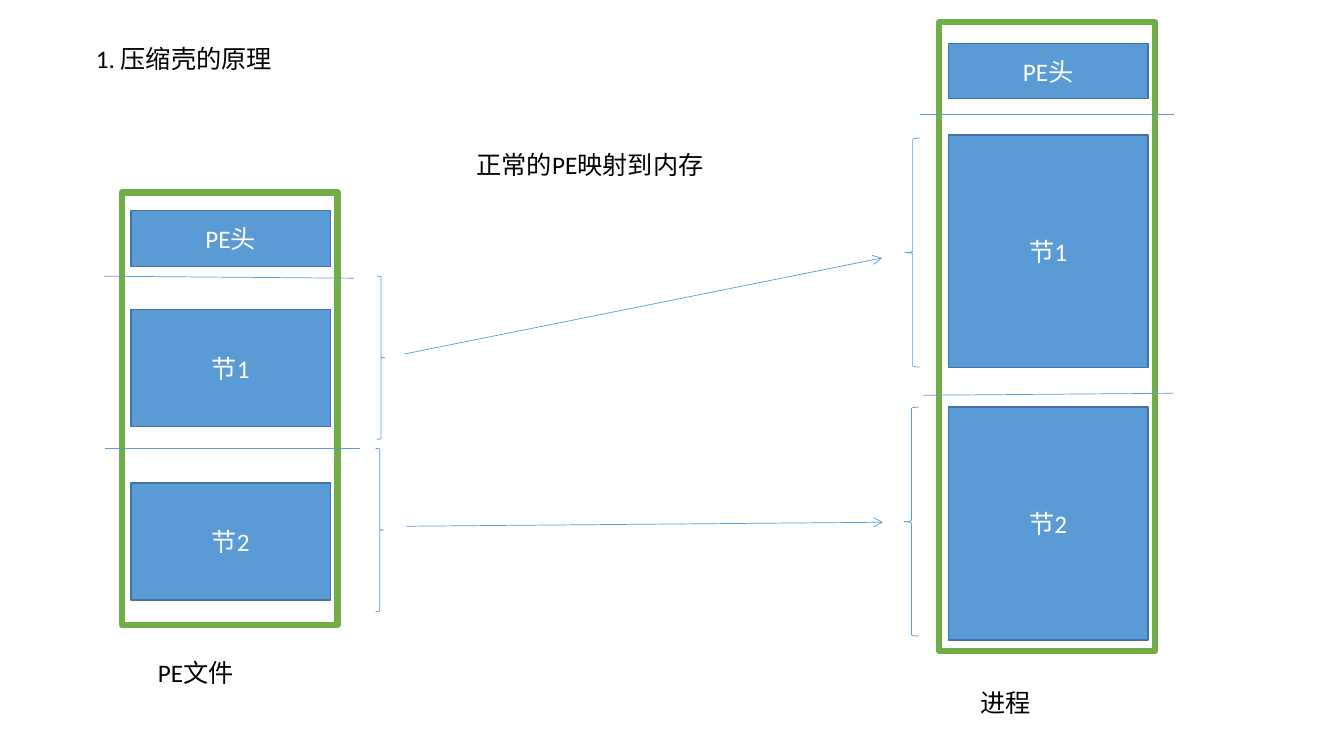
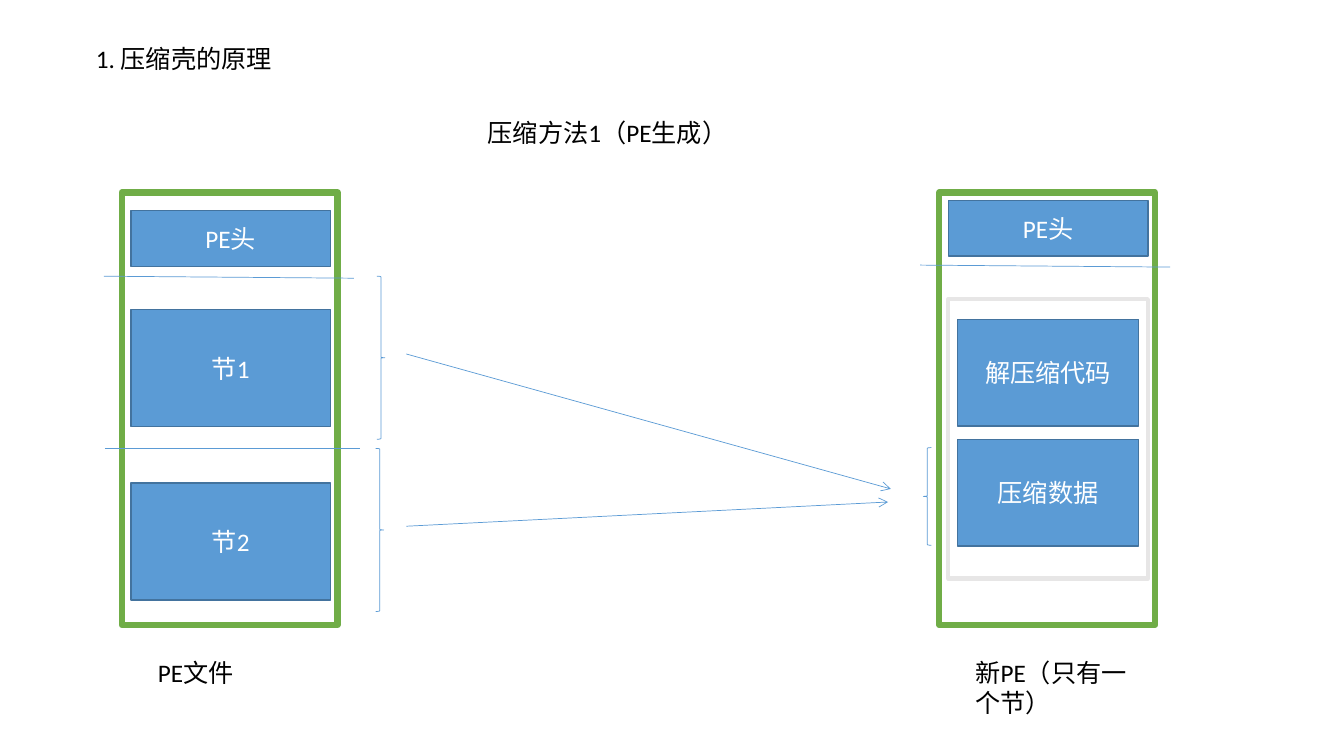
from lxml.etree import SubElement
from pptx import Presentation
from pptx.dml.color import RGBColor
from pptx.enum.shapes import MSO_CONNECTOR, MSO_SHAPE
from pptx.enum.text import MSO_ANCHOR, MSO_AUTO_SIZE, PP_ALIGN
from pptx.oxml.ns import qn
from pptx.util import Cm, Pt

COLORS = {"white": "FFFFFF", "text": "000000", "frame": "70AD47",
          "block": "5B9BD5", "edge": "43739E", "inner": "E7E6E6"}
FONT = {"name": "Calibri", "size": Pt(18), "bold": False}
LABEL = {"word_wrap": True, "auto_size": MSO_AUTO_SIZE.SHAPE_TO_FIT_TEXT,
         "vertical_anchor": MSO_ANCHOR.TOP}
BLOCK = {"word_wrap": True, "vertical_anchor": MSO_ANCHOR.MIDDLE}
TITLE = "1. 压缩壳的原理"
FILE_X, TARGET_X = 3.07, 23.67
FRAME_TOP, FRAME_W, FRAME_H = 4.85, 5.44, 10.9
INSET, BLOCK_W, HEAD_H = 0.23, 5.03, 1.4
LABEL_TOP, LABEL_H = 16.43, 1.02


def rgb(name):
    """Return the named colour."""
    return RGBColor.from_string(COLORS[name])


def set_attrs(obj, values):
    """Set every attribute in a dict of format values."""
    for key, value in values.items():
        setattr(obj, key, value)


def write(tf, text, color, align, frame_format):
    """Write one formatted paragraph into a text frame."""
    set_attrs(tf, frame_format)
    p = tf.paragraphs[0]
    p.alignment = align
    r = p.add_run()
    r.text = text
    set_attrs(r.font, FONT)
    r.font.color.rgb = rgb(color)


def add_title(s, text):
    """Place and fill the title placeholder."""
    sp = s.shapes.title
    set_attrs(sp, {"left": Cm(2.16), "top": Cm(0.97),
                   "width": Cm(8.94), "height": Cm(LABEL_H)})
    write(sp.text_frame, text, "text", PP_ALIGN.LEFT, LABEL)


def add_label(s, text, x, y, w, h=LABEL_H):
    """Add a plain text label."""
    sp = s.shapes.add_textbox(Cm(x), Cm(y), Cm(w), Cm(h))
    write(sp.text_frame, text, "text", PP_ALIGN.LEFT, LABEL)


def add_box(s, x, y, w, h, fill, line, weight):
    """Add a filled rectangle with an outline."""
    sp = s.shapes.add_shape(MSO_SHAPE.RECTANGLE, Cm(x), Cm(y), Cm(w), Cm(h))
    sp.shadow.inherit = False
    sp.fill.solid()
    sp.fill.fore_color.rgb = rgb(fill)
    sp.line.color.rgb = rgb(line)
    sp.line.width = Pt(weight)
    return sp


def add_frame(s, x, y=FRAME_TOP, h=FRAME_H):
    """Add the green outline of a file or process."""
    add_box(s, x, y, FRAME_W, h, "white", "frame", 4.5)


def add_block(s, text, x, y, h, w=BLOCK_W):
    """Add a blue block with centred text."""
    sp = add_box(s, x, y, w, h, "block", "edge", 1)
    write(sp.text_frame, text, "white", PP_ALIGN.CENTER, BLOCK)


def add_brace(s, kind, x, y, w, h):
    """Add a thin brace."""
    sp = s.shapes.add_shape(kind, Cm(x), Cm(y), Cm(w), Cm(h))
    sp.shadow.inherit = False
    sp.fill.background()
    sp.line.color.rgb = rgb("block")
    sp.line.width = Pt(0.5)


def add_line(s, x1, y1, x2, y2, arrow=False):
    """Add a thin line, with an arrowhead at its end if asked."""
    cxn = s.shapes.add_connector(MSO_CONNECTOR.STRAIGHT,
                                 Cm(x1), Cm(y1), Cm(x2), Cm(y2))
    cxn.line.color.rgb = rgb("block")
    cxn.line.width = Pt(0.5)
    if arrow:
        SubElement(cxn.line._get_or_add_ln(), qn("a:tailEnd"), type="arrow")
    SubElement(cxn._element.spPr, qn("a:effectLst"))


def add_pe_file(s):
    """Draw the PE file on the left with its sections and braces."""
    x = FILE_X + INSET
    add_frame(s, FILE_X)
    add_block(s, "PE头", x, 5.31, HEAD_H)
    add_line(s, 2.62, 6.96, 8.92, 7.01)
    add_line(s, 2.64, 11.3, 9.07, 11.3)
    for text, y in (("节1", 7.8), ("节2", 12.17)):
        add_block(s, text, x, y, 2.95)
    for brace_x, y in ((9.5, 6.96), (9.47, 11.3)):
        add_brace(s, MSO_SHAPE.RIGHT_BRACE, brace_x, y, 0.2, 4.11)
    add_label(s, "PE文件", 3.73, LABEL_TOP, 3.43)


def add_process(s):
    """Draw the process memory on the right."""
    x = TARGET_X + INSET
    add_frame(s, TARGET_X, 0.56, 15.85)
    add_block(s, "PE头", x, 1.09, HEAD_H)
    add_line(s, 23.19, 2.87, 29.59, 2.87)
    add_line(s, 23.27, 9.96, 29.57, 9.91)
    for text, y in (("节1", 3.4), ("节2", 10.26)):
        add_block(s, text, x, y, 5.87)
    for brace_x, y in ((22.81, 3.48), (22.78, 10.26)):
        add_brace(s, MSO_SHAPE.LEFT_BRACE, brace_x, y, 0.38, 5.77)
    add_label(s, "进程", 24.46, 17.2, 3.43)


def add_new_pe(s):
    """Draw the new PE with its single section on the right."""
    x = TARGET_X + INSET
    add_frame(s, TARGET_X)
    add_block(s, "PE头", x, 5.05, HEAD_H)
    add_line(s, 23.19, 6.68, 29.49, 6.73)
    add_box(s, x, 7.54, BLOCK_W, 7.04, "white", "inner", 3)
    for text, y in (("解压缩代码", 8.05), ("压缩数据", 11.07)):
        add_block(s, text, x + INSET, y, 2.69, BLOCK_W - 2 * INSET)
    add_brace(s, MSO_SHAPE.LEFT_BRACE, 23.27, 11.28, 0.2, 2.46)
    add_label(s, "新PE（只有一个节）", 24.33, LABEL_TOP, 4.8, 1.78)


def add_mapping_slide(prs, add_target, caption, arrows):
    """Add a slide that maps the PE file to a target."""
    s = prs.slides.add_slide(prs.slide_layouts.get_by_name("Title Only"))
    add_title(s, TITLE)
    add_pe_file(s)
    add_target(s)
    add_label(s, *caption)
    for ends in arrows:
        add_line(s, *ends, arrow=True)


def main():
    """Build and save the presentation."""
    prs = Presentation()
    set_attrs(prs, {"slide_width": Cm(33.87), "slide_height": Cm(19.05)})
    add_mapping_slide(prs, add_process, ("正常的PE映射到内存", 11.76, 3.63, 6.55),
                      [(10.19, 8.92, 22.23, 6.5), (10.24, 13.26, 22.25, 13.16)])
    add_mapping_slide(prs, add_new_pe, ("压缩方法1（PE生成）", 12.04, 2.82, 6.55),
                      [(10.24, 8.92, 22.45, 12.32), (10.24, 13.26, 22.38, 12.65)])
    prs.save("out.pptx")


main()
